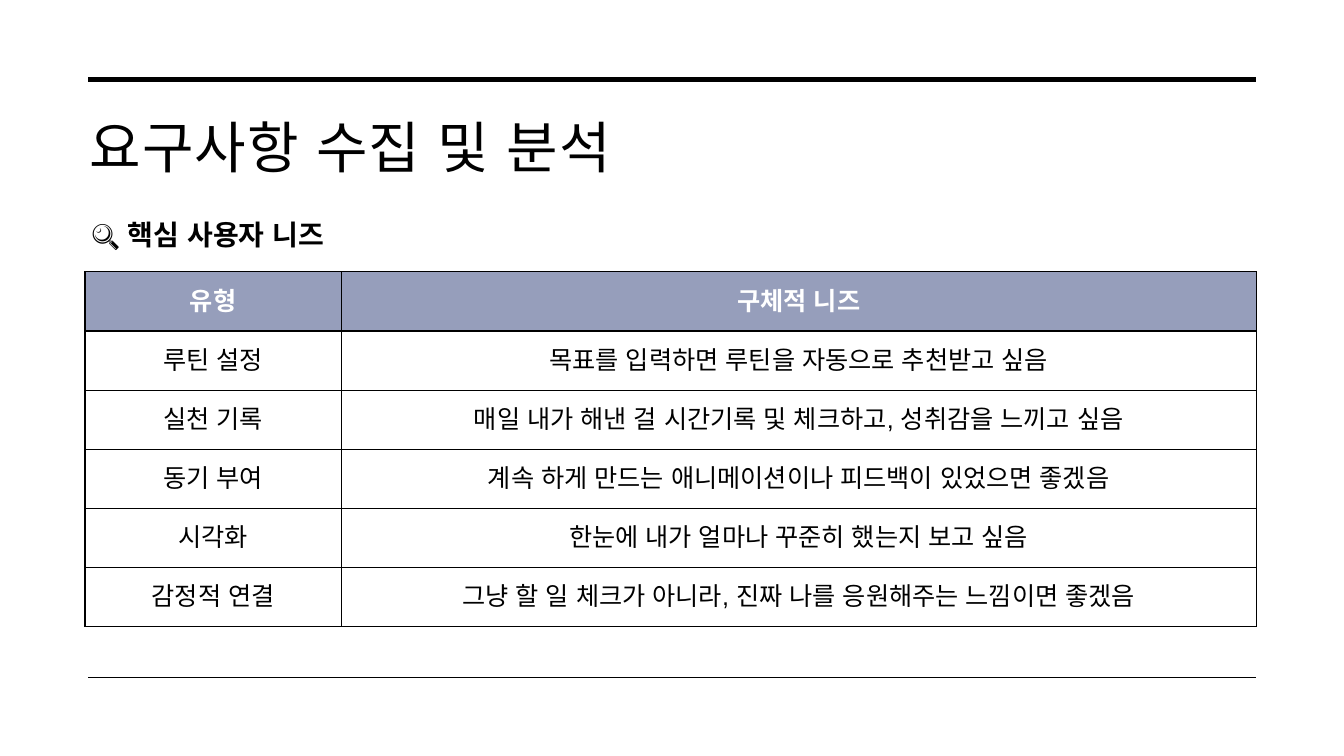
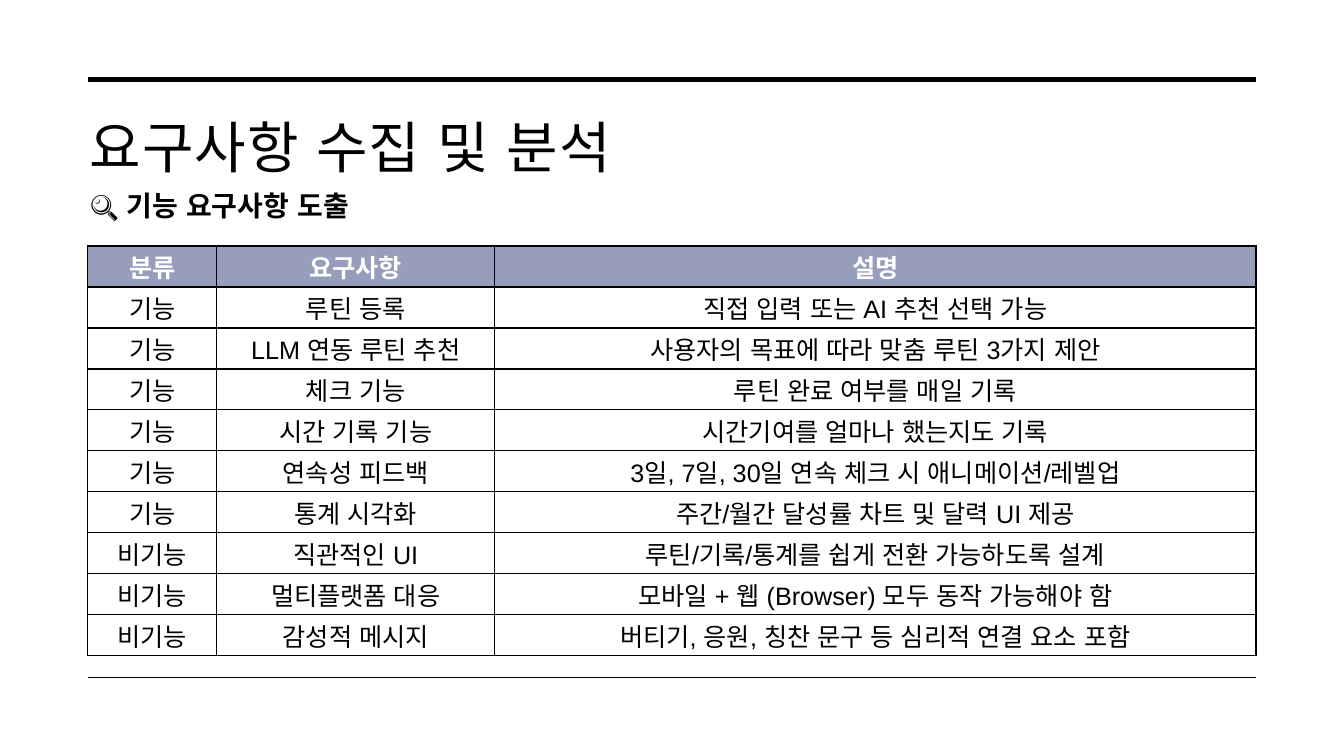
from dataclasses import dataclass

from lxml.etree import SubElement
from pptx import Presentation
from pptx.dml.color import RGBColor
from pptx.enum.shapes import MSO_CONNECTOR
from pptx.enum.text import MSO_ANCHOR, MSO_AUTO_SIZE, PP_ALIGN
from pptx.oxml.ns import qn
from pptx.util import Cm, Pt


@dataclass(frozen=True)
class Theme:
    font: str = "Arial"
    ink: str = "000000"
    paper: str = "FFFFFF"
    head: str = "969EBB"
    title: int = 40
    label: int = 20
    cell: int = 18
    thick: float = 3.5
    thin: float = 1


THEME = Theme()
LEFT, RIGHT = 2.23, 31.65
TITLE = "요구사항 수집 및 분석"

NEEDS = [
    ("유형", "구체적 니즈"),
    ("루틴 설정", "목표를 입력하면 루틴을 자동으로 추천받고 싶음"),
    ("실천 기록", "매일 내가 해낸 걸 시간기록 및 체크하고, 성취감을 느끼고 싶음"),
    ("동기 부여", "계속 하게 만드는 애니메이션이나 피드백이 있었으면 좋겠음"),
    ("시각화", "한눈에 내가 얼마나 꾸준히 했는지 보고 싶음"),
    ("감정적 연결", "그냥 할 일 체크가 아니라, 진짜 나를 응원해주는 느낌이면 좋겠음"),
]

SPECS = [
    ("분류", "요구사항", "설명"),
    ("기능", "루틴 등록", "직접 입력 또는 AI 추천 선택 가능"),
    ("기능", "LLM 연동 루틴 추천", "사용자의 목표에 따라 맞춤 루틴 3가지 제안"),
    ("기능", "체크 기능", "루틴 완료 여부를 매일 기록"),
    ("기능", "시간 기록 기능", "시간기여를 얼마나 했는지도 기록"),
    ("기능", "연속성 피드백", "3일, 7일, 30일 연속 체크 시 애니메이션/레벨업"),
    ("기능", "통계 시각화", "주간/월간 달성률 차트 및 달력 UI 제공"),
    ("비기능", "직관적인 UI", "루틴/기록/통계를 쉽게 전환 가능하도록 설계"),
    ("비기능", "멀티플랫폼 대응", "모바일 + 웹 (Browser) 모두 동작 가능해야 함"),
    ("비기능", "감성적 메시지", "버티기, 응원, 칭찬 문구 등 심리적 연결 요소 포함"),
]


def color(code):
    return RGBColor.from_string(code)


def write(frame, text, size, ink=THEME.ink, bold=False, align=PP_ALIGN.LEFT, space=None):
    """Add a run to the first paragraph; space is the letter spacing in points."""
    para = frame.paragraphs[0]
    para.alignment = align
    run = para.add_run()
    run.text = text
    font = run.font
    font.name, font.size, font.bold = THEME.font, Pt(size), bold
    font.color.rgb = color(ink)
    props = run._r.get_or_add_rPr()
    SubElement(props, qn("a:ea"), typeface=THEME.font)
    if space is not None:
        props.set("spc", str(round(space * 100)))


def rule(slide, y, width):
    line = slide.shapes.add_connector(
        MSO_CONNECTOR.STRAIGHT, Cm(LEFT), Cm(y), Cm(RIGHT), Cm(y))
    line.line.color.rgb = color(THEME.ink)
    line.line.width = Pt(width)
    SubElement(line._element.spPr, qn("a:effectLst"))


def place(shape, box):
    shape.left, shape.top, shape.width, shape.height = map(Cm, box)


def head(slide, box):
    title = slide.shapes.title
    place(title, box)
    frame = title.text_frame
    frame.auto_size = MSO_AUTO_SIZE.NONE
    frame.word_wrap = True
    frame.vertical_anchor = MSO_ANCHOR.TOP
    frame.margin_left = frame.margin_right = frame.margin_top = Cm(0.3)
    frame.margin_bottom = Cm(0.25)
    write(frame, TITLE, THEME.title, space=0.8)


def label(slide, text, box):
    frame = slide.shapes.add_textbox(*map(Cm, box)).text_frame
    frame.word_wrap = False
    frame.auto_size = MSO_AUTO_SIZE.SHAPE_TO_FIT_TEXT
    write(frame, "🔍", THEME.label)
    write(frame, " " + text, THEME.label, bold=True)


def border(cell):
    props = cell._tc.get_or_add_tcPr()
    for side in ("lnL", "lnR", "lnT", "lnB"):
        line = SubElement(props, qn("a:" + side), w=str(Pt(THEME.thin)))
        fill = SubElement(line, qn("a:solidFill"))
        SubElement(fill, qn("a:srgbClr"), val=THEME.ink)


def grid(slide, rows, box, widths, pad):
    """Draw equal rows in the box; pad is the bottom margin of a cell."""
    table = slide.shapes.add_table(len(rows), len(widths), *map(Cm, box)).table
    for col, width in zip(table.columns, widths):
        col.width = Cm(width)
    for i, row in enumerate(rows):
        table.rows[i].height = Cm(box[3] / len(rows))
        top = i == 0
        for j, text in enumerate(row):
            cell = table.cell(i, j)
            border(cell)
            cell.fill.solid()
            cell.fill.fore_color.rgb = color(THEME.head if top else THEME.paper)
            cell.vertical_anchor = MSO_ANCHOR.MIDDLE
            cell.margin_bottom = Cm(pad)
            write(cell.text_frame, text, THEME.cell, bold=top,
                  ink=THEME.paper if top else THEME.ink, align=PP_ALIGN.CENTER)


def page(deck, topic, spot, rows, box, widths, pad):
    slide = deck.slides.add_slide(deck.slide_layouts.get_by_name("Title Only"))
    rule(slide, 2, THEME.thick)
    rule(slide, 17.07, THEME.thin)
    head(slide, (1.96, 2.54, 29.7, 2.67))
    label(slide, topic, spot)
    grid(slide, rows, box, widths, pad)


def main():
    deck = Presentation()
    deck.slide_width, deck.slide_height = Cm(33.87), Cm(19.05)
    page(deck, "핵심 사용자 니즈", (2.06, 5.36, 7.2, 1.12),
         NEEDS, (2.14, 6.85, 29.52, 8.94), (6.46, 23.06), 0.13)
    page(deck, "기능 요구사항 도출", (2.03, 4.62, 7.9, 1.12),
         SPECS, (2.21, 6.2, 29.44, 10.32), (3.25, 7.01, 19.18), 0)
    deck.save("out.pptx")


if __name__ == "__main__":
    main()
